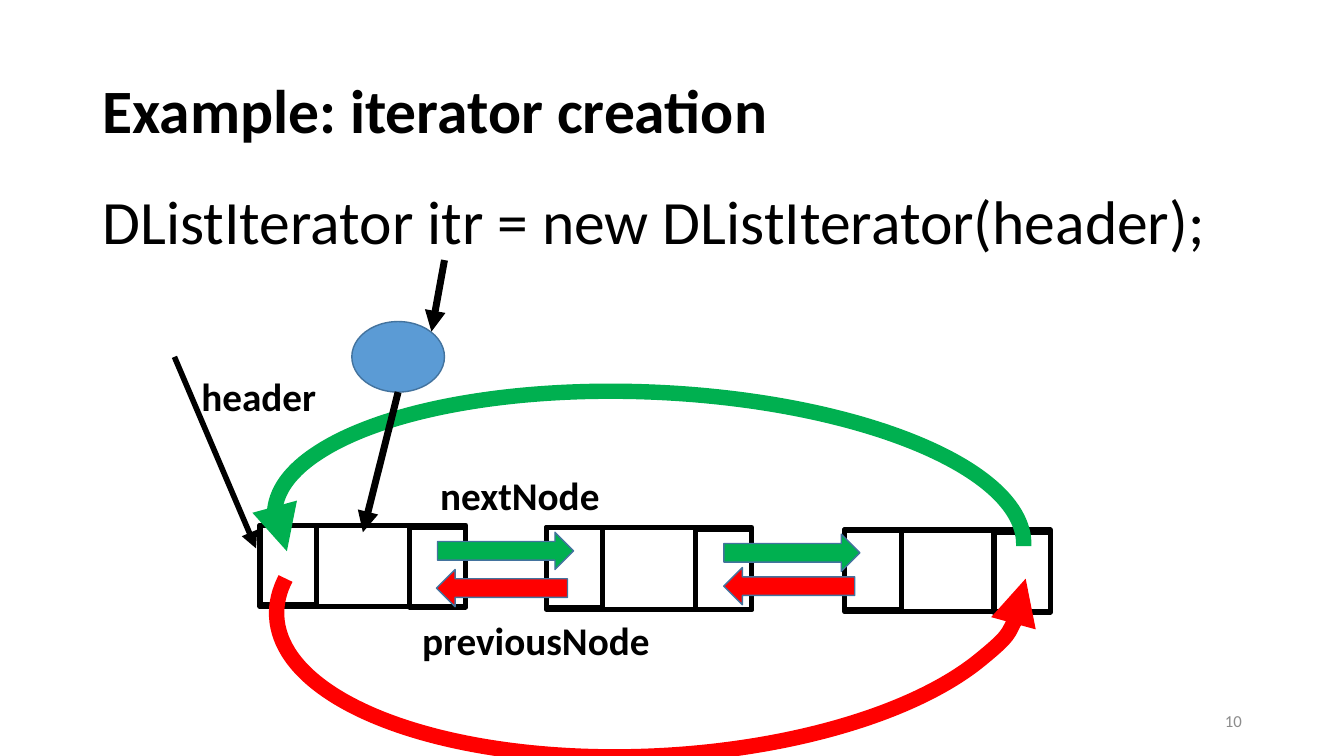
from lxml import etree
from pptx import Presentation
from pptx.dml.color import RGBColor
from pptx.enum.shapes import MSO_CONNECTOR, MSO_SHAPE
from pptx.enum.text import MSO_ANCHOR, MSO_AUTO_SIZE, PP_ALIGN
from pptx.oxml.ns import qn
from pptx.util import Pt

STRAIGHT = MSO_CONNECTOR.STRAIGHT
RECT, OVAL, ARC = MSO_SHAPE.RECTANGLE, MSO_SHAPE.OVAL, MSO_SHAPE.ARC
RIGHT_ARROW = MSO_SHAPE.RIGHT_ARROW
TOP, MIDDLE = MSO_ANCHOR.TOP, MSO_ANCHOR.MIDDLE
NO_AUTOFIT = MSO_AUTO_SIZE.NONE
LEFT, RIGHT = PP_ALIGN.LEFT, PP_ALIGN.RIGHT

FONT = "Calibri"
COLORS = {"black": "000000", "green": "00B050", "red": "FF0000",
          "blue": "5B9BD5", "edge": "43739E", "grey": "8C8C8C"}

TITLE = "Example: iterator creation"
CODE = "DListIterator itr = new DListIterator(header);"
TITLE_BOX = (66, 29, 828, 104)
CODE_BOX = (66, 133, 828, 72)

# All lengths are in points.
NODES = [(185.8, 375.1), (390.2, 376.8), (603.4, 378.6)]
NODE_W, NODE_H = 146.9, 58.3
CELL_W, CELL_H = 40.3, 56.9
CELL_DROP = 1.6

# left, top, width, height, colour, points left
LINKS = [
    (312.5, 380.2, 97.2, 26.6, "green", False),
    (517, 381.6, 97.2, 26.6, "green", False),
    (517, 405.4, 93.6, 26.6, "red", True),
    (311.8, 406.8, 93.6, 26.6, "red", True),
]
# left, top, width, height, rotation, colour, flipped, arrowhead end
LOOPS = [
    (195.8, 280.1, 535.7, 196.6, 2.5, "green", False, "headEnd"),
    (197.3, 313.9, 535.7, 226.1, 357.1, "red", True, "tailEnd"),
]
ARC_START = 104.457
LABELS = [
    ("header", (136.8, 262.1, 156.2, 41)),
    ("nextNode", (307.4, 333.4, 156.2, 41)),
    ("previousNode", (294.5, 437, 184.3, 41)),
]
ITERATOR = (251.3, 229.7, 66.2, 50.4)
HEADER_POINTER = (124.6, 254.9, 182.9, 391.7, 4)
ITERATOR_POINTERS = [(284.4, 280.1, 259.2, 380.2, 5),
                     (317.5, 185.8, 308.2, 236.9, 5)]
NUMBER = ("10", (678.2, 500.4, 216, 28.8))


def rgb(name):
    return RGBColor.from_string(COLORS[name])


def points(values):
    return [Pt(v) for v in values]


def add_arrowhead(shape, end):
    ln = shape.line._get_or_add_ln()
    etree.SubElement(ln, qn("a:" + end), type="triangle")


def add_figure(kind, box, line, width, fill=None):
    sp = slide.shapes.add_shape(kind, *points(box))
    sp.shadow.inherit = False
    if fill:
        sp.fill.solid()
        sp.fill.fore_color.rgb = rgb(fill)
    else:
        sp.fill.background()
    sp.line.color.rgb = rgb(line)
    sp.line.width = Pt(width)
    return sp


def add_pointer(x1, y1, x2, y2, width):
    line = slide.shapes.add_connector(STRAIGHT, *points((x1, y1, x2, y2)))
    line.line.color.rgb = rgb("black")
    line.line.width = Pt(width)
    add_arrowhead(line, "tailEnd")
    etree.SubElement(line.element.spPr, qn("a:effectLst"))


def write(sp, text, size, color="black", bold=False, align=LEFT, anchor=TOP):
    tf = sp.text_frame
    tf.text = text
    tf.word_wrap = True
    tf.auto_size = NO_AUTOFIT
    tf.vertical_anchor = anchor
    p = tf.paragraphs[0]
    p.alignment = align
    font = p.runs[0].font
    font.name, font.size, font.bold = FONT, Pt(size), bold
    font.color.rgb = rgb(color)
    return p


def add_label(text, box, size, **style):
    write(slide.shapes.add_textbox(*points(box)), text, size, **style)


def place(sp, box):
    sp.left, sp.top, sp.width, sp.height = points(box)


def add_node(x, y):
    """Draw a node with a previous cell on its left and a next cell on its right."""
    for box in ((x, y, NODE_W, NODE_H),
                (x, y, CELL_W, CELL_H),
                (x + NODE_W - CELL_W, y + CELL_DROP, CELL_W, CELL_H)):
        add_figure(RECT, box, "black", 3.75)


prs = Presentation()
prs.slide_width, prs.slide_height = Pt(960), Pt(540)
slide = prs.slides.add_slide(prs.slide_layouts[1])

title, body = slide.placeholders
place(title, TITLE_BOX)
write(title, TITLE, 44, bold=True, anchor=MIDDLE).line_spacing = 0.9

place(body, CODE_BOX)
p = write(body, CODE, 44)
p.line_spacing = 0.9
p.space_before = Pt(10)
pPr = p._p.get_or_add_pPr()
pPr.set("marL", "0")
pPr.set("indent", "0")
etree.SubElement(pPr, qn("a:buNone"))

add_pointer(*HEADER_POINTER)
for x, y in NODES:
    add_node(x, y)

for *box, color, points_left in LINKS:
    sp = add_figure(RIGHT_ARROW, box, "edge", 1, color)
    if points_left:
        sp.element.spPr.get_or_add_xfrm().set("flipH", "1")

for *box, rotation, color, flipped, end in LOOPS:
    sp = add_figure(ARC, box, color, 11)
    sp.adjustments[0] = ARC_START
    sp.rotation = rotation
    if flipped:
        sp.element.spPr.get_or_add_xfrm().set("flipV", "1")
    add_arrowhead(sp, end)

for text, box in LABELS:
    add_label(text, box, 28, bold=True)

add_figure(OVAL, ITERATOR, "edge", 1, "blue")
for pointer in ITERATOR_POINTERS:
    add_pointer(*pointer)

add_label(*NUMBER, 12, color="grey", align=RIGHT, anchor=MIDDLE)

prs.save("out.pptx")
